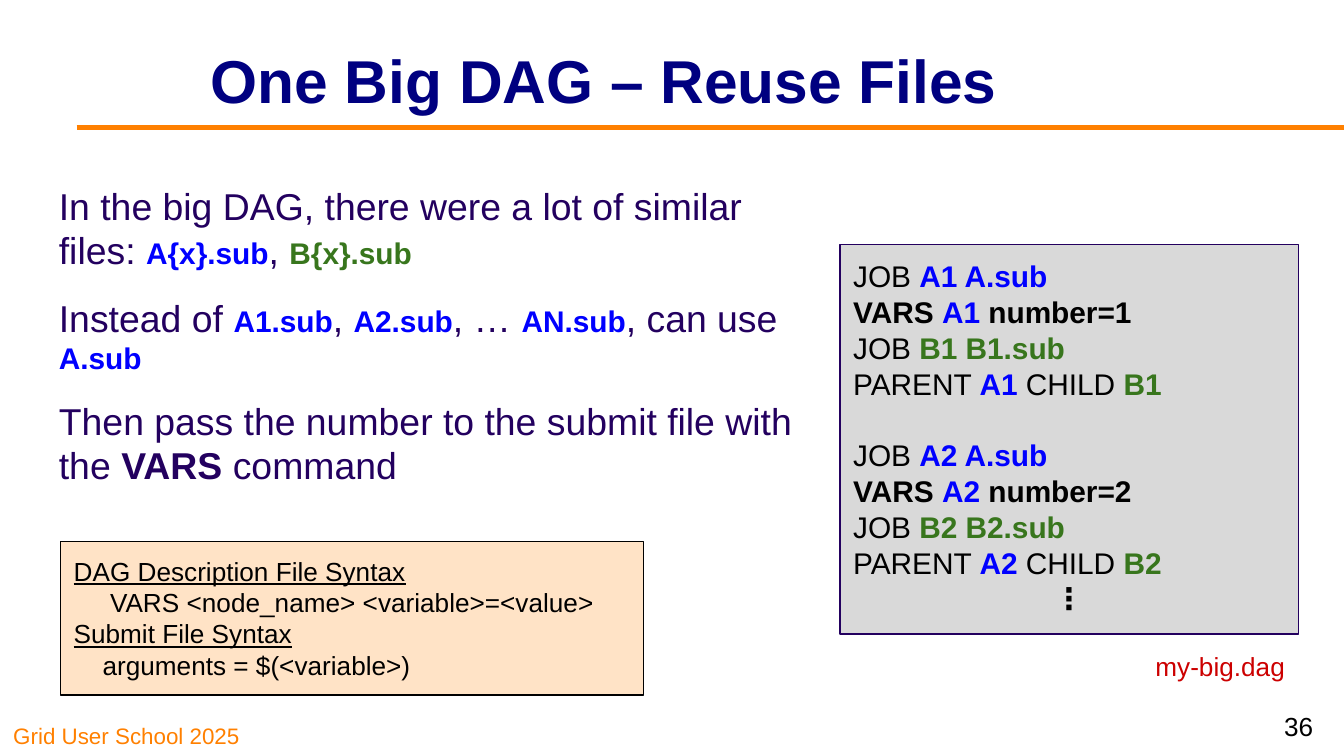
from pptx import Presentation
from pptx.dml.color import RGBColor
from pptx.enum.shapes import MSO_CONNECTOR as CONN, MSO_SHAPE as SHAPE
from pptx.enum.text import MSO_ANCHOR as ANCHOR, PP_ALIGN as ALIGN
from pptx.oxml.ns import qn
from pptx.util import Pt
from lxml.etree import SubElement

COLORS = {"navy": "000080", "orange": "FF8000", "indigo": "23005F", "blue": "0000FF",
          "green": "38761D", "black": "000000", "red": "CC0000", "gray": "D9D9D9",
          "peach": "FFB05D"}

# Run styles: size, colour, bold, underline
STYLES = {
    "title": (32.4, "navy", True, False),
    "body": (20, "indigo", False, False),
    "body bold": (20, "indigo", True, False),
    "file A": (16, "blue", True, False),
    "file B": (16, "green", True, False),
    "code": (16, "black", False, False),
    "code bold": (16, "black", True, False),
    "syntax": (14, "black", False, False),
    "syntax head": (14, "black", False, True),
    "caption": (14, "red", False, False),
    "footer": (12, "orange", False, False),
}

# Each paragraph is a list of (text, style) runs
TITLE = [[("One Big DAG – Reuse Files", "title")]]
BODY = [
    [("In the big DAG, there were a lot of similar files: ", "body"),
     ("A{x}.sub", "file A"), (", ", "body"), ("B{x}.sub", "file B")],
    [("Instead of ", "body"), ("A1.sub", "file A"), (", ", "body"), ("A2.sub", "file A"),
     (", … ", "body"), ("AN.sub", "file A"), (", can use ", "body"), ("A.sub", "file A")],
    [("Then pass the number to the submit file with the ", "body"),
     ("VARS", "body bold"), (" command", "body")],
]
SYNTAX = [
    [("DAG Description File Syntax", "syntax head")],
    [("VARS <node_name> <variable>=<value>", "syntax")],
    [("Submit File Syntax", "syntax head")],
    [("arguments = $(<variable>)", "syntax")],
]
SYNTAX_INDENTS = {1: 19.5, 3: 15.5}
FOOTER = [[("Grid User School 2025", "footer")]]
FILE_NAME = [[("my-big.dag", "caption")]]
PAGE = [[("36", "syntax")]]


def node_lines(n):
    """Lines of the DAG file for the n-th pair of nodes."""
    return [
        [("JOB ", "code"), (f"A{n} A.sub", "file A")],
        [("VARS ", "code bold"), (f"A{n}", "file A"), (f" number={n}", "code bold")],
        [("JOB ", "code"), (f"B{n} B{n}.sub", "file B")],
        [("PARENT ", "code"), (f"A{n}", "file A"), (" CHILD ", "code"), (f"B{n}", "file B")],
    ]


DAG_FILE = node_lines(1) + node_lines(2) + [[("⋮", "code bold")]]
CODE_LINE = 19.1


def rgb(name):
    return RGBColor.from_string(COLORS[name])


def fill_text(s, paragraphs, align=ALIGN.LEFT, anchor=ANCHOR.TOP, inset=7.2, gap=0):
    tf = s.text_frame
    tf.word_wrap = True
    tf.vertical_anchor = anchor
    tf.margin_left = tf.margin_right = Pt(7.2)
    tf.margin_top = tf.margin_bottom = Pt(inset)
    for i, runs in enumerate(paragraphs):
        p = tf.paragraphs[0] if i == 0 else tf.add_paragraph()
        p.alignment = align
        if i and gap:
            p.space_before = Pt(gap)
        for text, style in runs:
            size, color, bold, underline = STYLES[style]
            r = p.add_run()
            r.text = text
            r.font.name = "Arial"
            r.font.size = Pt(size)
            r.font.color.rgb = rgb(color)
            r.font.bold = bold
            r.font.underline = underline
    return tf.paragraphs


def add_text(box, paragraphs, **layout):
    return fill_text(slide.shapes.add_textbox(*map(Pt, box)), paragraphs, **layout)


def add_panel(box, fill, line, paragraphs):
    s = slide.shapes.add_shape(SHAPE.RECTANGLE, *map(Pt, box))
    s.shadow.inherit = False
    s.fill.solid()
    s.fill.fore_color.rgb = rgb(fill)
    s.line.color.rgb = rgb(line)
    s.line.width = Pt(0.75)
    return s, fill_text(s, paragraphs)


prs = Presentation()
prs.slide_width, prs.slide_height = Pt(720), Pt(405)
slide = prs.slides.add_slide(prs.slide_layouts[6])

add_text((0, 382.5, 178.5, 22.5), FOOTER, anchor=ANCHOR.BOTTOM, inset=3.6)

rule = slide.shapes.add_connector(CONN.STRAIGHT, Pt(41), Pt(68.4), Pt(720), Pt(68.4))
rule.line.color.rgb = rgb("orange")
rule.line.width = Pt(3)
SubElement(rule._element.spPr, qn("a:effectLst"))

add_text((105.8, 15.8, 589.7, 45.4), TITLE)
add_text((24.5, 90.7, 424.8, 269.3), BODY, gap=12)

_, lines = add_panel((450, 131, 245.5, 208.8), "gray", "indigo", DAG_FILE)
lines[4].space_before = Pt(CODE_LINE)
lines[-1].alignment = ALIGN.CENTER

add_text((465.1, 341.3, 230.4, 31.7), FILE_NAME, align=ALIGN.RIGHT)
number = add_text((667.4, 374.4, 43.2, 31), PAGE, align=ALIGN.RIGHT, anchor=ANCHOR.MIDDLE)
number[0].line_spacing = 0.9

syntax, lines = add_panel((32.4, 290.2, 312.5, 82.1), "peach", "black", SYNTAX)
for i, indent in SYNTAX_INDENTS.items():
    lines[i]._p.get_or_add_pPr().set("marL", str(Pt(indent)))
peach = syntax._element.spPr.find(qn("a:solidFill"))[0]
SubElement(peach, qn("a:alpha"), val="35000")

prs.save("out.pptx")
